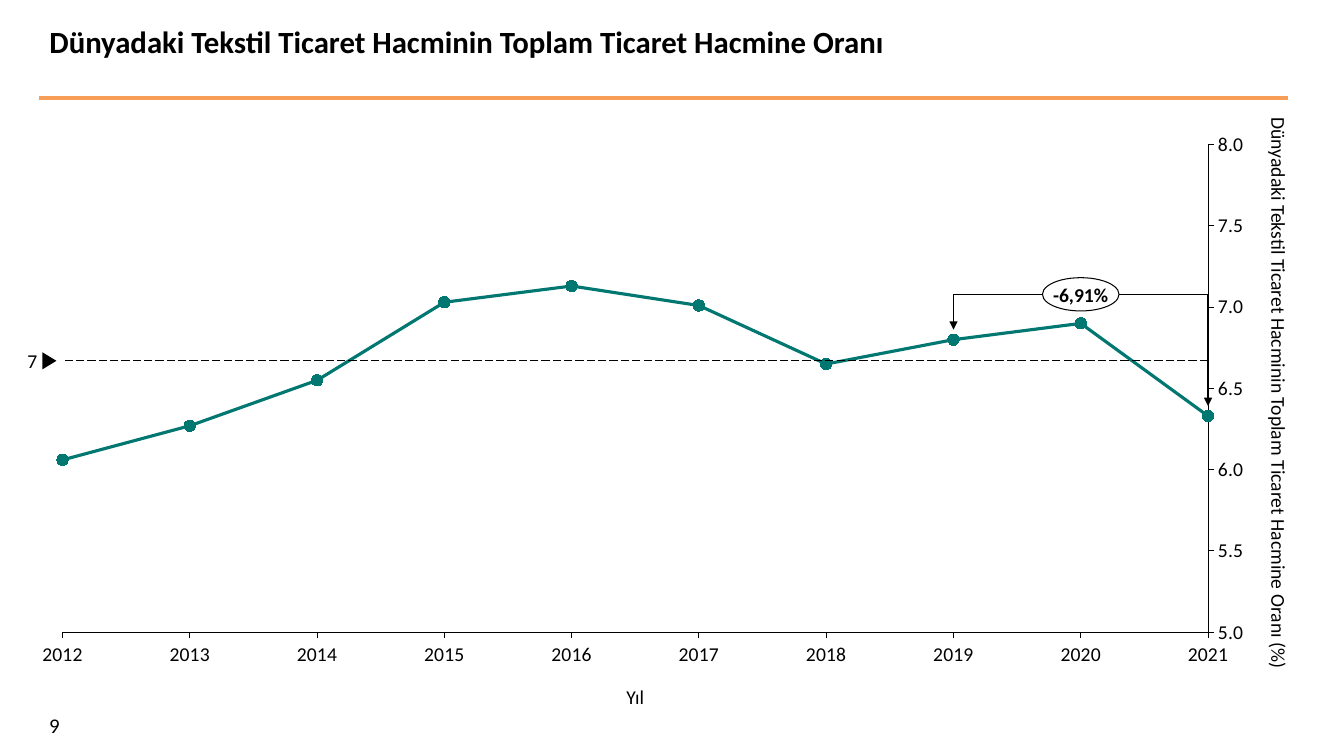
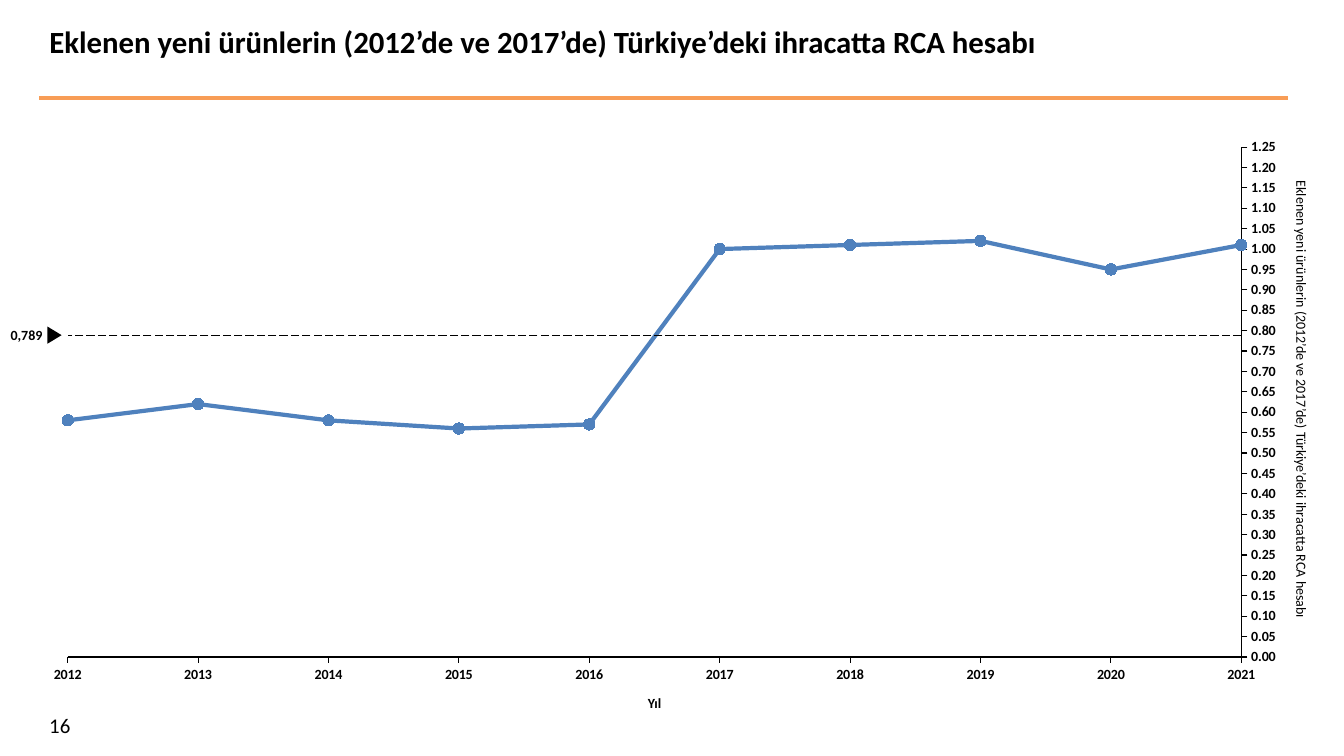
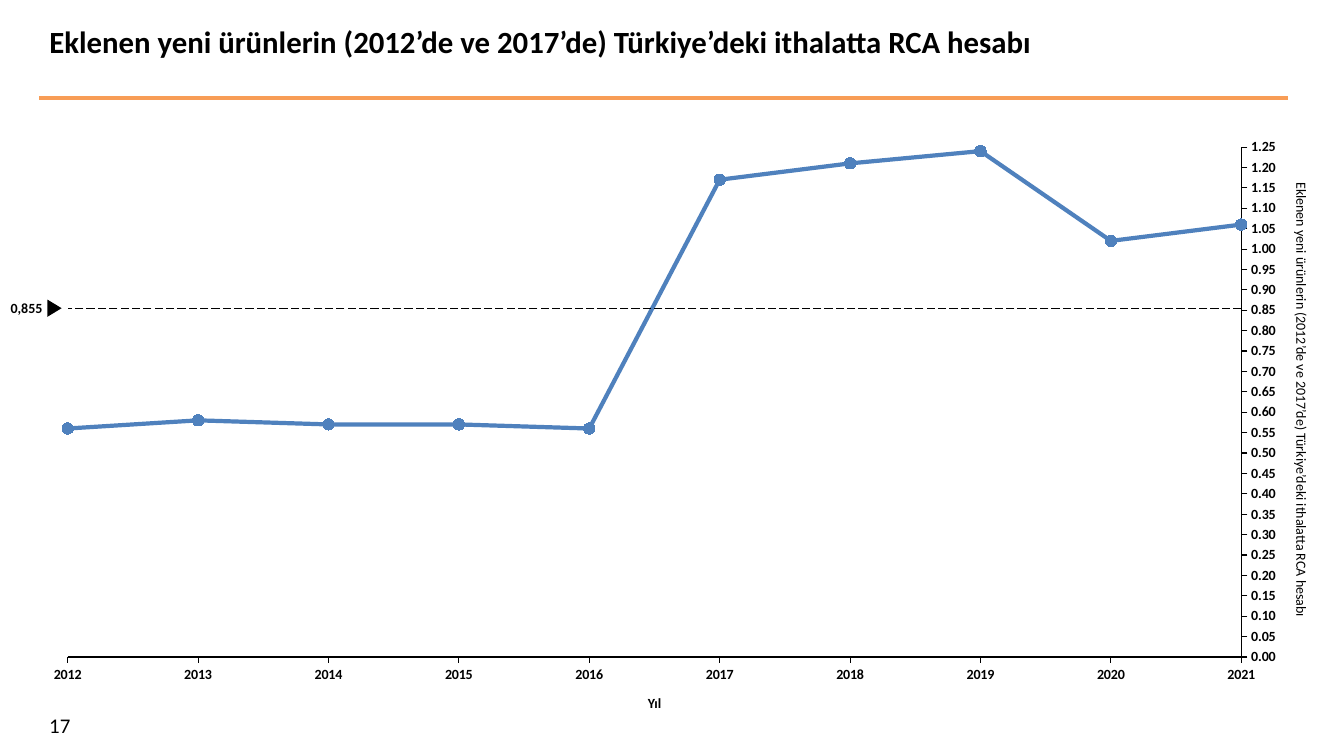
from dataclasses import dataclass

from pptx import Presentation
from pptx.chart.data import XyChartData
from pptx.dml.color import RGBColor
from pptx.enum.chart import XL_AXIS_CROSSES, XL_CHART_TYPE, XL_MARKER_STYLE, XL_TICK_MARK
from pptx.enum.dml import MSO_LINE
from pptx.enum.shapes import MSO_CONNECTOR, MSO_SHAPE
from pptx.enum.text import MSO_ANCHOR, MSO_AUTO_SIZE, PP_ALIGN
from pptx.oxml import parse_xml
from pptx.oxml.ns import nsdecls, qn
from pptx.util import Inches, Pt

STRAIGHT = MSO_CONNECTOR.STRAIGHT
LEFT, CENTER, RIGHT = PP_ALIGN.LEFT, PP_ALIGN.CENTER, PP_ALIGN.RIGHT
TOP, MIDDLE, BOTTOM = MSO_ANCHOR.TOP, MSO_ANCHOR.MIDDLE, MSO_ANCHOR.BOTTOM
TITLE_ONLY = 5
FIRST_YEAR, LAST_YEAR = 2012, 2021


# Shared look
@dataclass(frozen=True)
class Theme:
    font: str = "Calibri"
    black: RGBColor = RGBColor(0, 0, 0)
    white: RGBColor = RGBColor(255, 255, 255)
    orange: RGBColor = RGBColor(0xF8, 0x9D, 0x56)
    teal: RGBColor = RGBColor(0x00, 0x77, 0x70)
    blue: RGBColor = RGBColor(0x4F, 0x81, 0xBD)
    title_size: float = 22
    number_size: float = 14.9
    thin: float = 0.75
    marker_size: int = 8


THEME = Theme()


@dataclass(frozen=True)
class ChartStyle:
    """Frame and plot geometry, scale and text style of a line chart."""
    frame: tuple  # left, top, width, height in inches
    plot: tuple  # the same as fractions of the frame
    minimum: float
    maximum: float
    step: float
    value_format: str
    color: RGBColor
    line_width: float
    text_size: float
    bold: bool
    label_width: float

    @property
    def plot_box(self):
        left, top, width, height = self.frame
        x, y, w, h = self.plot
        return left + x * width, top + y * height, w * width, h * height

    @property
    def line_height(self):
        return self.text_size * 1.2 / 72

    def x_of(self, year):
        left, _, width, _ = self.plot_box
        return left + width * (year - FIRST_YEAR) / (LAST_YEAR - FIRST_YEAR)

    def y_of(self, value):
        _, top, _, height = self.plot_box
        return top + height * (self.maximum - value) / (self.maximum - self.minimum)


SHARE_STYLE = ChartStyle(
    (0.2, 1.21, 12.35, 5.62), (0.034, 0.04, 0.92, 0.861), 5, 8, 0.5,
    '#,##0.0;"-"#,##0.0', THEME.teal, 2.25, 14, False, 0.1)
RCA_STYLE = ChartStyle(
    (0.36, 1.29, 12.45, 5.64), (0.025, 0.03, 0.935, 0.897), 0, 1.25, 0.05,
    '#,##0.00;"-"#,##0.00', THEME.blue, 3, 10, True, 0.31)


# Text and lines
def inches(*lengths):
    return [Inches(length) for length in lengths]


def write(text_frame, text, size, bold=False, align=LEFT, anchor=TOP):
    text_frame.auto_size = MSO_AUTO_SIZE.NONE
    text_frame.vertical_anchor = anchor
    paragraph = text_frame.paragraphs[0]
    paragraph.alignment = align
    run = paragraph.add_run()
    run.text = text
    run.font.name = THEME.font
    run.font.size = Pt(size)
    run.font.bold = bold
    run.font.color.rgb = THEME.black


def clear_margins(text_frame):
    text_frame.margin_left = text_frame.margin_right = 0
    text_frame.margin_top = text_frame.margin_bottom = 0
    text_frame.word_wrap = False


def add_label(slide, box, text, size, bold=False, align=CENTER, anchor=TOP, vertical=False):
    text_frame = slide.shapes.add_textbox(*inches(*box)).text_frame
    clear_margins(text_frame)
    write(text_frame, text, size, bold, align, anchor)
    if vertical:
        text_frame._txBody.bodyPr.set("vert", "eaVert")


def add_line(slide, start, end, color=THEME.black, width=THEME.thin, dash=None, arrow=False):
    connector = slide.shapes.add_connector(STRAIGHT, *inches(*start, *end))
    connector.line.color.rgb = color
    connector.line.width = Pt(width)
    if dash:
        connector.line.dash_style = dash
    properties = connector._element.spPr
    if arrow:
        properties.find(qn("a:ln")).append(
            parse_xml(f'<a:tailEnd {nsdecls("a")} type="triangle"/>'))
    properties.append(parse_xml(f'<a:effectLst {nsdecls("a")}/>'))
    return connector


def add_filled_shape(slide, kind, box, color):
    shape = slide.shapes.add_shape(kind, *inches(*box))
    shape.shadow.inherit = False
    shape.fill.solid()
    shape.fill.fore_color.rgb = color
    shape.line.fill.background()
    return shape


# Slide frame
def prepare_layout(presentation):
    layout = presentation.slide_layouts[TITLE_ONLY]
    title = layout.placeholders[0]
    title.left, title.top, title.width, title.height = inches(0.39, 0.18, 12.38, 0.64)
    return layout


def add_slide(presentation, layout, title, number):
    slide = presentation.slides.add_slide(layout)
    write(slide.shapes.title.text_frame, title, THEME.title_size, bold=True)
    number_box = slide.shapes.add_textbox(*inches(0.39, 7.02, 1.56, 0.27))
    write(number_box.text_frame, str(number), THEME.number_size)
    return slide


def move_rule_to_layout(slide, layout):
    rule = add_line(slide, (0.39, 0.97), (12.77, 0.97), THEME.orange, 3)
    layout.shapes.element.append(rule._element)


# Chart
def format_axis(axis, style, minimum, maximum, step, number_format):
    axis.minimum_scale, axis.maximum_scale, axis.major_unit = minimum, maximum, step
    axis.has_major_gridlines = False
    axis.has_title = False
    axis.major_tick_mark = XL_TICK_MARK.OUTSIDE
    axis.minor_tick_mark = XL_TICK_MARK.NONE
    axis.format.line.color.rgb = THEME.black
    axis.format.line.width = Pt(THEME.thin)
    labels = axis.tick_labels
    labels.number_format = number_format
    labels.number_format_is_linked = False
    labels.font.name = THEME.font
    labels.font.size = Pt(style.text_size)
    labels.font.bold = style.bold
    labels.font.color.rgb = THEME.black


def place_plot(chart, fractions):
    plot_area = chart._chartSpace.chart.plotArea
    for layout in plot_area.findall(qn("c:layout")):
        plot_area.remove(layout)
    sizes = "".join(f'<c:{name} val="{value}"/>' for name, value in zip("xywh", fractions))
    plot_area.insert(0, parse_xml(
        f'<c:layout {nsdecls("c")}><c:manualLayout><c:layoutTarget val="inner"/>'
        f'<c:xMode val="edge"/><c:yMode val="edge"/>{sizes}</c:manualLayout></c:layout>'))


def add_line_chart(slide, style, values):
    data = XyChartData()
    points = data.add_series("Series 1")
    for year, value in enumerate(values, FIRST_YEAR):
        points.add_data_point(year, value)
    chart = slide.shapes.add_chart(
        XL_CHART_TYPE.XY_SCATTER_LINES, *inches(*style.frame), data).chart
    chart.has_legend = chart.has_title = False
    chart.font.name = THEME.font
    chart.font.size = Pt(style.text_size)
    chart.font.color.rgb = THEME.black
    chart.plots[0].vary_by_categories = False
    place_plot(chart, style.plot)
    format_axis(chart.category_axis, style, FIRST_YEAR, LAST_YEAR, 1, '0;"-"0')
    format_axis(chart.value_axis, style, style.minimum, style.maximum, style.step,
                style.value_format)
    chart.category_axis.crosses = XL_AXIS_CROSSES.MAXIMUM

    series = chart.plots[0].series[0]
    series.smooth = False
    series.format.line.color.rgb = style.color
    series.format.line.width = Pt(style.line_width)
    series.marker.style = XL_MARKER_STYLE.CIRCLE
    series.marker.size = THEME.marker_size
    series.marker.format.fill.solid()
    series.marker.format.fill.fore_color.rgb = style.color
    series.marker.format.line.color.rgb = style.color


def add_axis_titles(slide, style, title, length):
    left, top, width, height = style.plot_box
    frame_left, frame_top, frame_width, frame_height = style.frame
    add_label(slide, (left + width / 2 - 0.09, frame_top + frame_height - 0.04, 0.18,
                      style.line_height), "Yıl", style.text_size, style.bold)
    add_label(slide, (frame_left + frame_width + 0.02, top + (height - length) / 2,
                      style.line_height, length),
              title, style.text_size, anchor=BOTTOM, vertical=True)


def add_average(slide, style, average, text):
    left, _, width, _ = style.plot_box
    y = style.y_of(average)
    pointer = add_filled_shape(slide, MSO_SHAPE.RIGHT_ARROW,
                               (left - 0.2, y - 0.085, 0.14, 0.17), THEME.black)
    pointer.adjustments[0] = pointer.adjustments[1] = 1
    add_line(slide, (left + width, y), (left, y), dash=MSO_LINE.LONG_DASH)
    add_label(slide, (left - 0.25 - style.label_width, y - style.line_height / 2,
                      style.label_width, style.line_height),
              text, style.text_size, style.bold, RIGHT, MIDDLE)


def add_change(slide, style, values, first, last, text):
    """Bracket between two years, with the change in an oval at its middle."""
    y, gap = 2.92, 0.1
    ends = [style.x_of(year) for year in (first, last)]
    add_line(slide, (ends[0], y), (ends[1], y), width=1)
    for year, x in zip((first, last), ends):
        point_y = style.y_of(values[year - FIRST_YEAR])
        add_line(slide, (x, y), (x, point_y - gap), width=1, arrow=True)
    width, height = 0.76, 0.33
    oval = add_filled_shape(slide, MSO_SHAPE.OVAL,
                            (sum(ends) / 2 - width / 2, y - height / 2, width, height),
                            THEME.white)
    oval.line.color.rgb = THEME.black
    oval.line.width = Pt(THEME.thin)
    clear_margins(oval.text_frame)
    write(oval.text_frame, text, style.text_size, True, CENTER, MIDDLE)


def main():
    presentation = Presentation()
    presentation.slide_width, presentation.slide_height = inches(13.33, 7.5)
    layout = prepare_layout(presentation)

    share_title = "Dünyadaki Tekstil Ticaret Hacminin Toplam Ticaret Hacmine Oranı"
    rca_title = "Eklenen yeni ürünlerin (2012’de ve 2017’de) Türkiye’deki {} RCA hesabı"
    export_title, import_title = (rca_title.format(flow) for flow in ("ihracatta", "ithalatta"))
    share = [6.06, 6.27, 6.55, 7.03, 7.13, 7.01, 6.65, 6.8, 6.9, 6.33]
    exports = [0.58, 0.62, 0.58, 0.56, 0.57, 1, 1.01, 1.02, 0.95, 1.01]
    imports = [0.56, 0.58, 0.57, 0.57, 0.56, 1.17, 1.21, 1.24, 1.02, 1.06]

    # Number, title, axis title and its length, style, values, average and its label
    pages = [
        (9, share_title, share_title + " (%)", 5.38, SHARE_STYLE, share, 6.67, "7"),
        (16, export_title, export_title, 4.39, RCA_STYLE, exports, 0.789, "0,789"),
        (17, import_title, import_title, 4.36, RCA_STYLE, imports, 0.855, "0,855"),
    ]
    slides = []
    for number, title, axis_title, length, style, values, average, label in pages:
        slide = add_slide(presentation, layout, title, number)
        add_line_chart(slide, style, values)
        add_average(slide, style, average, label)
        add_axis_titles(slide, style, axis_title, length)
        slides.append(slide)

    add_change(slides[0], SHARE_STYLE, share, 2019, 2021, "-6,91%")
    move_rule_to_layout(slides[0], layout)
    presentation.save("out.pptx")


if __name__ == "__main__":
    main()
